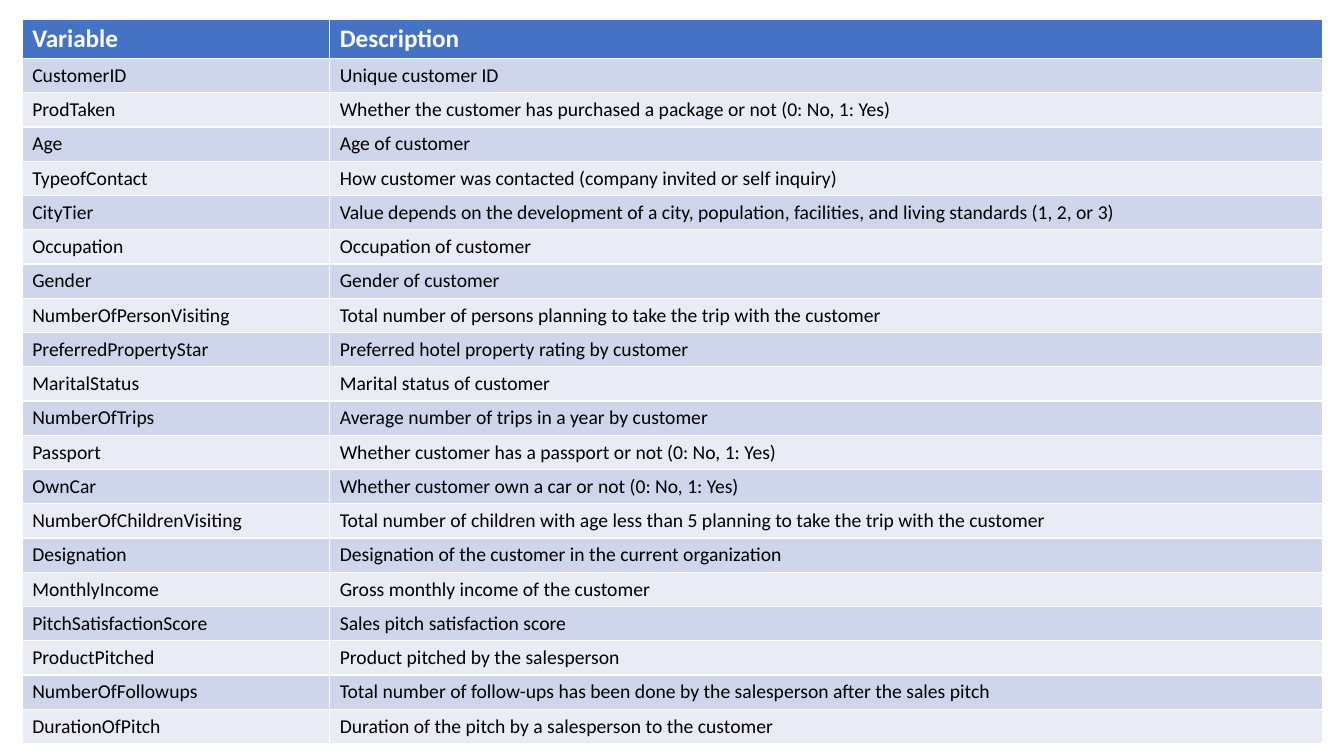
from dataclasses import dataclass

from pptx import Presentation
from pptx.dml.color import RGBColor
from pptx.enum.text import MSO_ANCHOR
from pptx.util import Inches, Pt

MIDDLE = MSO_ANCHOR.MIDDLE
BLANK = 6

HEADER = ("Variable", "Description")
FIELDS = [
    ("CustomerID", "Unique customer ID"),
    ("ProdTaken", "Whether the customer has purchased a package or not (0: No, 1: Yes)"),
    ("Age", "Age of customer"),
    ("TypeofContact", "How customer was contacted (company invited or self inquiry)"),
    ("CityTier", "Value depends on the development of a city, population, facilities, "
                 "and living standards (1, 2, or 3)"),
    ("Occupation", "Occupation of customer"),
    ("Gender", "Gender of customer"),
    ("NumberOfPersonVisiting",
     "Total number of persons planning to take the trip with the customer"),
    ("PreferredPropertyStar", "Preferred hotel property rating by customer"),
    ("MaritalStatus", "Marital status of customer"),
    ("NumberOfTrips", "Average number of trips in a year by customer"),
    ("Passport", "Whether customer has a passport or not (0: No, 1: Yes)"),
    ("OwnCar", "Whether customer own a car or not (0: No, 1: Yes)"),
    ("NumberOfChildrenVisiting",
     "Total number of children with age less than 5 planning to take the trip "
     "with the customer"),
    ("Designation", "Designation of the customer in the current organization"),
    ("MonthlyIncome", "Gross monthly income of the customer"),
    ("PitchSatisfactionScore", "Sales pitch satisfaction score"),
    ("ProductPitched", "Product pitched by the salesperson"),
    ("NumberOfFollowups",
     "Total number of follow-ups has been done by the salesperson after the sales pitch"),
    ("DurationOfPitch", "Duration of the pitch by a salesperson to the customer"),
]

LEFT, TOP = 0.22, 0.19
WIDTHS = (3.05, 9.85)
HEAD_H, ROW_H = 0.39, 0.34
PAD_X, PAD_Y = 0.1, 0.04


@dataclass(frozen=True)
class Theme:
    font: str = "Calibri"
    head_fill: str = "4472C4"
    head_ink: str = "FFFFFF"
    ink: str = "000000"
    bands: tuple = ("CFD5EA", "E9EBF5")
    head_size: int = 18
    size: int = 14


THEME = Theme()


def fill_cell(cell, text, fill, ink, size, bold):
    cell.fill.solid()
    cell.fill.fore_color.rgb = RGBColor.from_string(fill)
    cell.margin_left = cell.margin_right = Inches(PAD_X)
    cell.margin_top = cell.margin_bottom = Inches(PAD_Y)
    cell.vertical_anchor = MIDDLE
    cell.text_frame.text = text
    font = cell.text_frame.paragraphs[0].runs[0].font
    font.name = THEME.font
    font.size = Pt(size)
    font.bold = bold
    font.color.rgb = RGBColor.from_string(ink)


def add_fields(slide):
    rows = [HEADER, *FIELDS]
    height = HEAD_H + ROW_H * len(FIELDS)
    frame = slide.shapes.add_table(
        len(rows), len(HEADER),
        Inches(LEFT), Inches(TOP), Inches(sum(WIDTHS)), Inches(height))
    table = frame.table
    for col, width in zip(table.columns, WIDTHS):
        col.width = Inches(width)
    for r, texts in enumerate(rows):
        head = r == 0
        table.rows[r].height = Inches(HEAD_H if head else ROW_H)
        if head:
            look = (THEME.head_fill, THEME.head_ink, THEME.head_size, True)
        else:
            look = (THEME.bands[(r - 1) % 2], THEME.ink, THEME.size, False)
        for c, text in enumerate(texts):
            fill_cell(table.cell(r, c), text, *look)


def main():
    deck = Presentation()
    deck.slide_width = Inches(13.33)
    deck.slide_height = Inches(7.5)
    add_fields(deck.slides.add_slide(deck.slide_layouts[BLANK]))
    deck.save("out.pptx")


if __name__ == "__main__":
    main()
